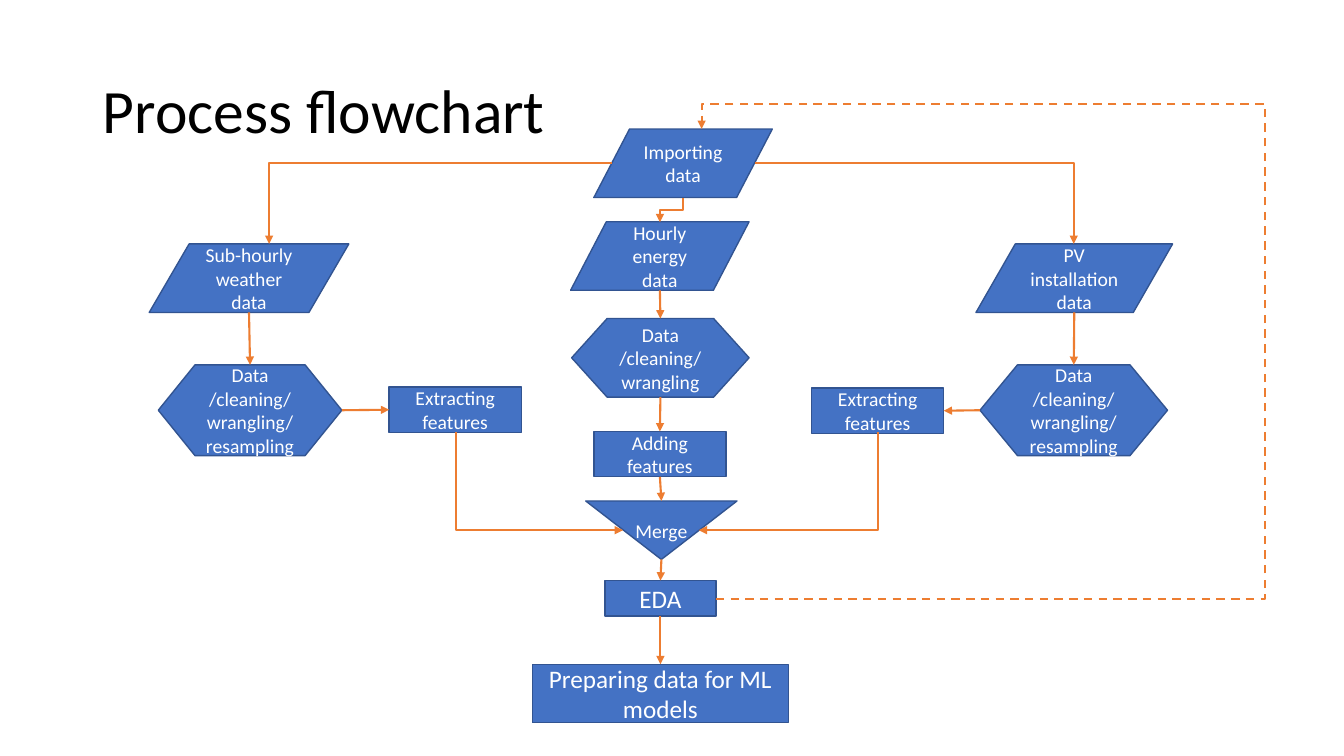
from lxml.etree import SubElement
from pptx import Presentation
from pptx.dml.color import RGBColor
from pptx.enum.dml import MSO_LINE
from pptx.enum.shapes import MSO_CONNECTOR, MSO_SHAPE
from pptx.enum.text import MSO_ANCHOR, PP_ALIGN
from pptx.oxml.ns import qn
from pptx.util import Inches, Pt

BLUE = RGBColor(0x44, 0x72, 0xC4)
DARK_BLUE = RGBColor(0x32, 0x54, 0x91)
ORANGE = RGBColor(0xED, 0x7D, 0x31)
WHITE = RGBColor(0xFF, 0xFF, 0xFF)
BLACK = RGBColor(0, 0, 0)

DATA = MSO_SHAPE.FLOWCHART_DATA
PREPARATION = MSO_SHAPE.FLOWCHART_PREPARATION
PROCESS = MSO_SHAPE.FLOWCHART_PROCESS
MERGE = MSO_SHAPE.FLOWCHART_MERGE
TOP, LEFT, BOTTOM, RIGHT = range(4)


def apply_format(target, values):
    for name, value in values.items():
        setattr(target, name, value)


def add_arrow(kind, start, end, arrow_end="tailEnd"):
    connector = slide.shapes.add_connector(kind, *start, *end)
    connector.line.color.rgb = ORANGE
    connector.line.width = Pt(1.5)
    SubElement(connector.line._get_or_add_ln(), qn("a:" + arrow_end), type="triangle")
    SubElement(connector._element.spPr, qn("a:effectLst"))
    return connector


presentation = Presentation()
apply_format(presentation, {"slide_width": Inches(13.33), "slide_height": Inches(7.5)})
slide = presentation.slides.add_slide(presentation.slide_layouts[5])

title = slide.shapes.title
apply_format(title, {"left": Inches(0.92), "top": Inches(0.4),
                     "width": Inches(11.5), "height": Inches(1.45)})
title.text_frame.text = "Process flowchart"
title.text_frame.vertical_anchor = MSO_ANCHOR.MIDDLE
paragraph = title.text_frame.paragraphs[0]
apply_format(paragraph, {"alignment": PP_ALIGN.LEFT, "line_spacing": 0.9})
apply_format(paragraph.font, {"name": "Calibri", "size": Pt(44)})
paragraph.font.color.rgb = BLACK

cleaning = "Data /cleaning/wrangling"
steps = [
    ("hourly", DATA, 5.66, 2.2, 1.77, 0.68, "Hourly energy data", 14),
    ("weather", DATA, 1.48, 2.42, 1.98, 0.68, "Sub-hourly weather data", 14),
    ("installation", DATA, 9.68, 2.42, 1.95, 0.68, "PV installation data", 14),
    ("hourly cleaning", PREPARATION, 5.67, 3.16, 1.76, 0.78, cleaning, 14),
    ("installation cleaning", PREPARATION, 9.72, 3.62, 1.86, 0.9, cleaning + "/resampling", 14),
    ("weather cleaning", PREPARATION, 1.57, 3.62, 1.82, 0.9, cleaning + "/resampling", 14),
    ("merge", MERGE, 5.81, 4.97, 1.5, 0.58, "Merge", 14),
    ("adding", PROCESS, 5.89, 4.28, 1.31, 0.45, "Adding features", 14),
    ("installation features", PROCESS, 8.05, 3.85, 1.31, 0.45, "Extracting features", 14),
    ("weather features", PROCESS, 3.86, 3.84, 1.31, 0.45, "Extracting features", 14),
    ("importing", DATA, 5.89, 1.28, 1.77, 0.68, "Importing data", 14),
    ("eda", PROCESS, 6, 5.76, 1.1, 0.35, "EDA", 18),
    ("preparing", PROCESS, 5.28, 6.59, 2.54, 0.58, "Preparing data for ML models", 18),
]
shapes = {}
for name, kind, left, top, width, height, text, size in steps:
    shape = slide.shapes.add_shape(kind, Inches(left), Inches(top), Inches(width), Inches(height))
    shape.shadow.inherit = False
    shape.fill.solid()
    shape.fill.fore_color.rgb = BLUE
    shape.line.color.rgb = DARK_BLUE
    shape.line.width = Pt(1)
    apply_format(shape.text_frame, {"text": text, "word_wrap": True,
                                    "vertical_anchor": MSO_ANCHOR.MIDDLE})
    paragraph = shape.text_frame.paragraphs[0]
    paragraph.alignment = PP_ALIGN.CENTER
    apply_format(paragraph.font, {"name": "Calibri", "size": Pt(size)})
    paragraph.font.color.rgb = WHITE
    shapes[name] = shape
apply_format(shapes["merge"].text_frame, {"vertical_anchor": MSO_ANCHOR.TOP,
                                          "margin_top": Inches(0.18), "margin_bottom": 0})

links = [
    ("weather", BOTTOM, "weather cleaning", TOP),
    ("hourly", BOTTOM, "hourly cleaning", TOP),
    ("installation", BOTTOM, "installation cleaning", TOP),
    ("weather cleaning", RIGHT, "weather features", LEFT),
    ("installation cleaning", LEFT, "installation features", RIGHT),
    ("hourly cleaning", BOTTOM, "adding", TOP),
    ("adding", BOTTOM, "merge", TOP),
    ("merge", BOTTOM, "eda", TOP),
    ("eda", BOTTOM, "preparing", TOP),
]
for source_name, source_side, target_name, target_side in links:
    source, target = shapes[source_name], shapes[target_name]
    start = (source.left + source.width // 2, source.top + source.height)
    connector = add_arrow(MSO_CONNECTOR.STRAIGHT, start, (target.left, target.top))
    if source.auto_shape_type != DATA:
        connector.begin_connect(source, source_side)
    connector.end_connect(target, target_side)

elbows = [
    ("bentConnector2", (7.49, 1.62), (10.65, 2.42), "tailEnd"),
    ("bentConnector2", (6.07, 1.62), (2.67, 2.42), "tailEnd"),
    ("bentConnector2", (6.18, 5.26), (4.52, 4.29), "headEnd"),
    ("bentConnector2", (6.93, 5.26), (8.71, 4.29), "headEnd"),
    ("bentConnector3", (6.54, 1.97), (6.78, 2.2), "tailEnd"),
    ("bentConnector4", (7.1, 5.94), (6.96, 1.28), "tailEnd"),
]
for preset, start, end, arrow_end in elbows:
    connector = add_arrow(MSO_CONNECTOR.ELBOW, map(Inches, start), map(Inches, end), arrow_end)
    geometry = connector._element.spPr.find(qn("a:prstGeom"))
    geometry.set("prst", preset)
    if preset == "bentConnector3":
        connector._element.spPr.find(qn("a:xfrm")).set("rot", "5400000")
    if preset == "bentConnector4":
        connector.line.dash_style = MSO_LINE.DASH
        guides = geometry.find(qn("a:avLst"))
        loop_right, loop_top = 12.54, 1.03
        bends = ((loop_right - start[0]) / (end[0] - start[0]),
                 (loop_top - start[1]) / (end[1] - start[1]))
        for number, bend in enumerate(bends, 1):
            SubElement(guides, qn("a:gd"), name=f"adj{number}", fmla=f"val {round(bend * 100000)}")

presentation.save("out.pptx")
